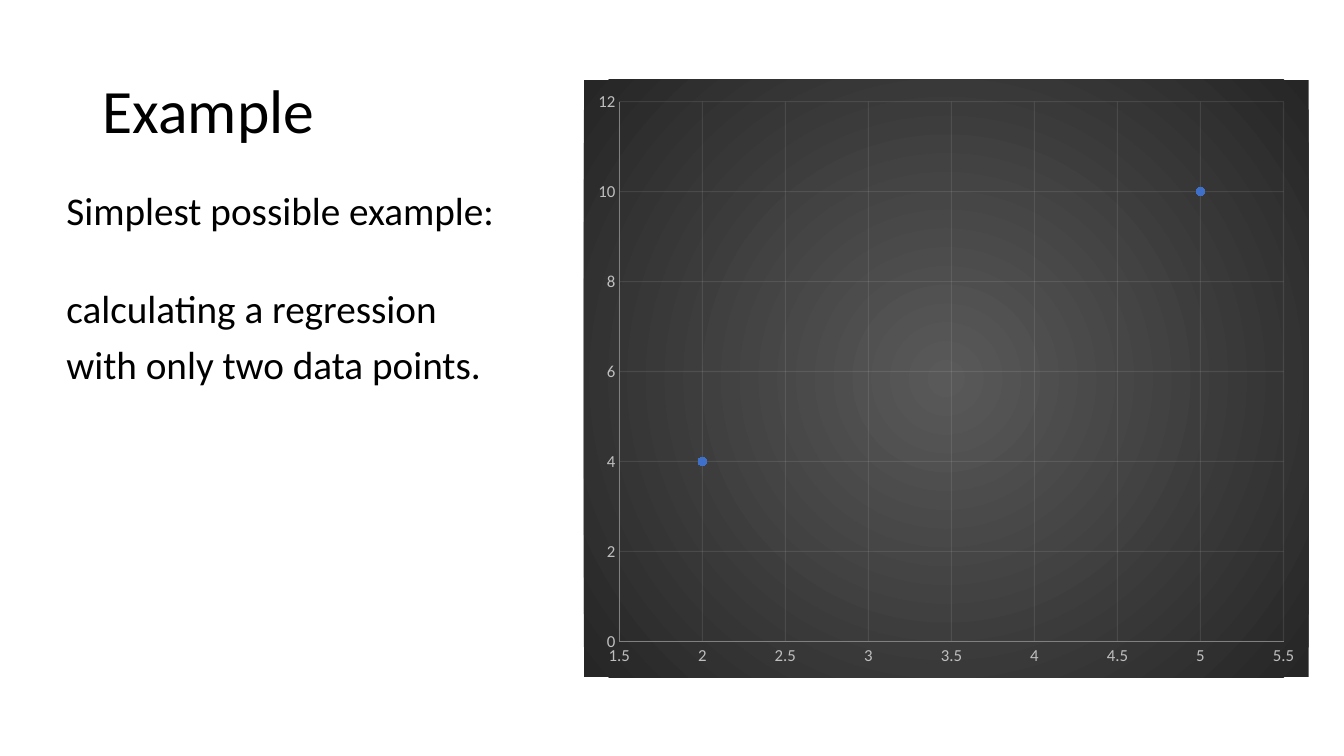
import pptx
import pptx.chart.data
import pptx.dml.color
import pptx.enum.chart
import pptx.enum.text
import pptx.oxml
import pptx.oxml.ns
import pptx.util
from pptx.util import Inches

Pt = pptx.util.Pt
qn = pptx.oxml.ns.qn
NS = pptx.oxml.ns.nsdecls("a", "c")


def rgb(hex_string):
    return pptx.dml.color.RGBColor.from_string(hex_string)


def apply(obj, values):
    """Set each attribute named in values on obj."""
    for name, value in values.items():
        setattr(obj, name, value)


class SlideBuilder:
    font = "Calibri"
    text_color = "000000"
    label_color = "BFBFBF"
    axis_color = "808080"
    grid_color = "F2F2F2"
    marker_color = "3E70CA"
    backdrop = ("595959", "262626")

    def __init__(self, prs):
        self.slide = prs.slides.add_slide(prs.slide_layouts[6])

    def text(self, box, paragraphs, size, anchor):
        """Add a text box; paragraphs are (text, points before) pairs."""
        sp = self.slide.shapes.add_textbox(*map(Inches, box))
        tf = sp.text_frame
        apply(tf, {"word_wrap": True, "vertical_anchor": anchor})
        for i, (words, before) in enumerate(paragraphs):
            p = tf.add_paragraph() if i else tf.paragraphs[0]
            apply(p, {"line_spacing": 0.9, "space_before": Pt(before)})
            r = p.add_run()
            r.text = words
            apply(r.font, {"size": Pt(size), "name": self.font})
            r.font.color.rgb = rgb(self.text_color)

    def scatter(self, box, name, points, x_scale, y_scale):
        data = pptx.chart.data.XyChartData()
        series = data.add_series(name)
        for x, y in points:
            series.add_data_point(x, y)
        chart = self.slide.shapes.add_chart(
            pptx.enum.chart.XL_CHART_TYPE.XY_SCATTER, *map(Inches, box), data).chart
        apply(chart, {"has_legend": False, "has_title": False})
        apply(chart.font, {"size": Pt(10), "name": self.font})
        chart.font.color.rgb = rgb(self.text_color)
        chart.plots[0].vary_by_categories = False
        self.axis(chart.category_axis, x_scale)
        self.axis(chart.value_axis, y_scale)
        self.markers(chart.plots[0].series[0])
        self.radial_fill(chart)

    def axis(self, axis, scale):
        """Style an axis; scale is (minimum, maximum, step)."""
        low, high, step = scale
        no_tick = pptx.enum.chart.XL_TICK_MARK.NONE
        apply(axis, {"minimum_scale": low, "maximum_scale": high, "major_unit": step,
                     "has_major_gridlines": True, "has_minor_gridlines": False,
                     "major_tick_mark": no_tick, "minor_tick_mark": no_tick})
        labels = axis.tick_labels
        apply(labels, {"number_format": "General", "number_format_is_linked": False})
        apply(labels.font, {"size": Pt(12), "name": self.font})
        labels.font.color.rgb = rgb(self.label_color)
        grid = axis.major_gridlines.format.line
        for line, color in ((axis.format.line, self.axis_color), (grid, self.grid_color)):
            line.width = Pt(0.75)
            line.color.rgb = rgb(color)
        clr = axis.major_gridlines._xAx.find(qn("c:majorGridlines")).find(
            ".//" + qn("a:srgbClr"))
        clr.append(pptx.oxml.parse_xml(f'<a:alpha {NS} val="10000"/>'))

    def markers(self, series):
        series.format.line.fill.background()
        series.smooth = False
        marker = series.marker
        apply(marker, {"style": pptx.enum.chart.XL_MARKER_STYLE.CIRCLE, "size": 6})
        marker.format.fill.solid()
        marker.format.fill.fore_color.rgb = rgb(self.marker_color)
        marker.format.line.fill.background()

    def radial_fill(self, chart):
        """Fill the whole chart area from the centre outwards."""
        inner, outer = self.backdrop
        sp_pr = pptx.oxml.parse_xml(
            f'<c:spPr {NS}><a:gradFill><a:gsLst>'
            f'<a:gs pos="0"><a:srgbClr val="{inner}"/></a:gs>'
            f'<a:gs pos="100000"><a:srgbClr val="{outer}"/></a:gs></a:gsLst>'
            '<a:path path="circle">'
            '<a:fillToRect l="50000" t="50000" r="50000" b="50000"/></a:path>'
            '</a:gradFill><a:ln><a:noFill/></a:ln></c:spPr>')
        chart._chartSpace.find(qn("c:chart")).addnext(sp_pr)


def main():
    prs = pptx.Presentation()
    apply(prs, {"slide_width": Inches(13.33), "slide_height": Inches(7.5)})
    s = SlideBuilder(prs)
    anchor = pptx.enum.text.MSO_ANCHOR
    s.text((0.92, 0.4, 11.5, 1.45), [("Example", 0)], 44, anchor.MIDDLE)
    s.text((0.56, 1.85, 6.46, 4.76),
           [("Simplest possible example:", 10),
            ("calculating a regression", 40),
            ("with only two data points.", 10)], 28, anchor.TOP)
    s.scatter((5.79, 0.79, 7.19, 5.93), "Series 1", [(2, 4), (5, 10)],
              (1.5, 5.5, 0.5), (0, 12, 2))
    prs.save("out.pptx")


if __name__ == "__main__":
    main()
